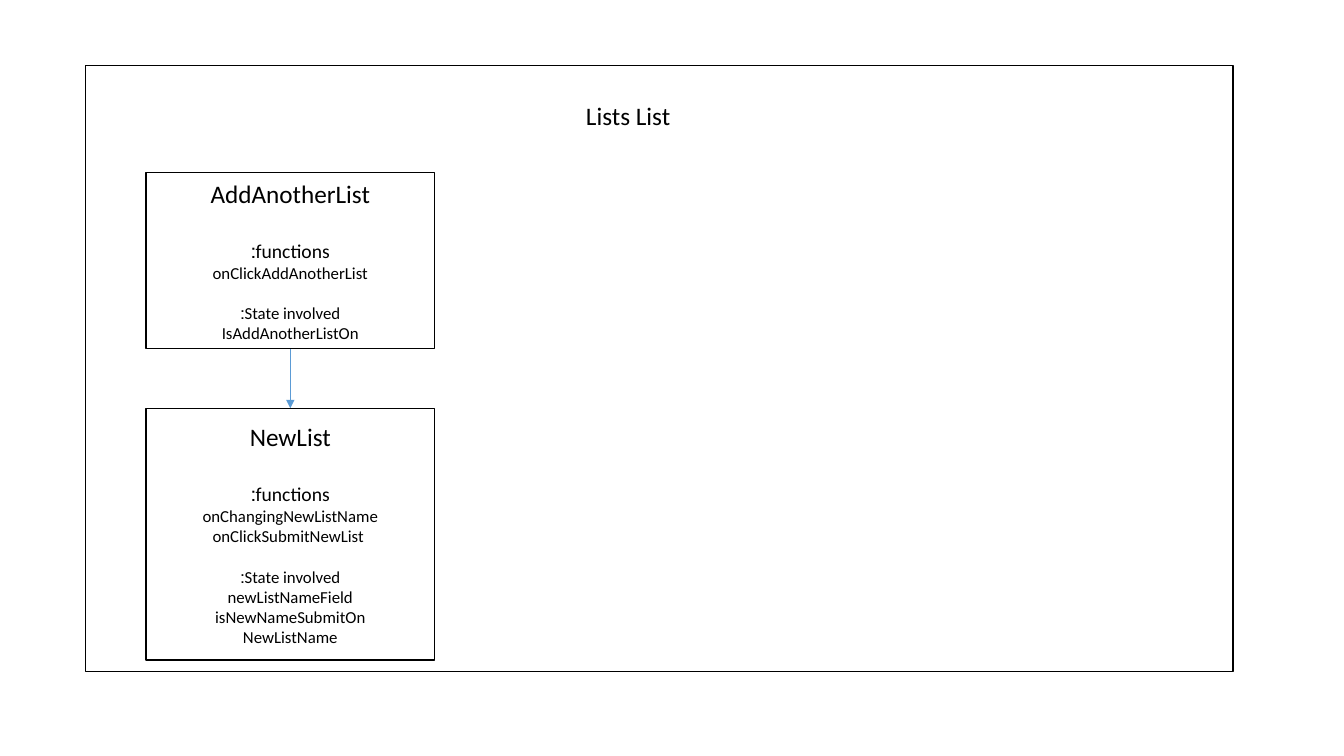
from pptx import Presentation
from pptx.dml.color import RGBColor
from pptx.enum.shapes import MSO_CONNECTOR, MSO_SHAPE
from pptx.enum.text import MSO_ANCHOR, PP_ALIGN
from pptx.oxml.ns import qn
from pptx.util import Inches, Pt
from lxml import etree

BLACK = RGBColor(0, 0, 0)
WHITE = RGBColor(255, 255, 255)
BLUE = RGBColor(0x5B, 0x9B, 0xD5)
FONT = "Calibri"
RECT = MSO_SHAPE.RECTANGLE
LINE = MSO_CONNECTOR.STRAIGHT
CENTER = PP_ALIGN.CENTER
MIDDLE = MSO_ANCHOR.MIDDLE


def add_box(slide, left, top, width, height):
    """Add a white rectangle with a black outline."""
    box = slide.shapes.add_shape(
        RECT, Inches(left), Inches(top), Inches(width), Inches(height))
    box.shadow.inherit = False
    box.fill.solid()
    box.fill.fore_color.rgb = WHITE
    box.line.color.rgb = BLACK
    box.line.width = Pt(1)
    return box


def set_line(para, text, size, gap=0):
    """Write one centred right-to-left paragraph with a gap above."""
    para.text = text
    para.alignment = CENTER
    para.space_before = Pt(gap)
    para._p.get_or_add_pPr().set("rtl", "1")
    font = para.runs[0].font
    font.name, font.size, font.color.rgb = FONT, Pt(size), BLACK


def add_frame(slide, left, top, width, height):
    """Draw the outer frame behind the slide title."""
    frame = add_box(slide, left, top, width, height)
    title = slide.shapes.title
    title.element.addprevious(frame.element)
    title.left, title.top = Inches(left + 3.63), Inches(top + 0.29)
    title.width, title.height = Inches(3.5), Inches(0.4)
    title.text_frame.vertical_anchor = MIDDLE
    set_line(title.text_frame.paragraphs[0], "Lists List", 18)


def add_card(slide, box, name, funcs, states):
    """Draw a component card with its functions and state."""
    card = add_box(slide, *box)
    frame = card.text_frame
    frame.word_wrap = True
    frame.vertical_anchor = MIDDLE
    rows = [(name, 18, 0), ("functions:", 14, 22)]
    rows += [(func, 12, 0) for func in funcs]
    rows += [("State involved:", 12, 14.6)]
    rows += [(state, 12, 0) for state in states]
    for i, row in enumerate(rows):
        para = frame.add_paragraph() if i else frame.paragraphs[0]
        set_line(para, *row)
    return card


def add_arrow(slide, source, target):
    """Link the bottom of one card to the top of the next."""
    arrow = slide.shapes.add_connector(LINE, 0, 0, 0, 0)
    arrow.begin_connect(source, 2)
    arrow.end_connect(target, 0)
    arrow.line.color.rgb = BLUE
    arrow.line.width = Pt(0.5)
    etree.SubElement(arrow.line._get_or_add_ln(), qn("a:tailEnd"), type="triangle")
    etree.SubElement(arrow._element.spPr, qn("a:effectLst"))


def build():
    """Build and save the slide."""
    deck = Presentation()
    deck.slide_width, deck.slide_height = Inches(13.33), Inches(7.5)
    slide = deck.slides.add_slide(deck.slide_layouts[5])
    add_frame(slide, 0.85, 0.65, 11.38, 6.01)
    first = add_card(slide, (1.45, 1.71, 2.86, 1.75), "AddAnotherList",
                     ["onClickAddAnotherList"], ["IsAddAnotherListOn"])
    second = add_card(slide, (1.45, 4.05, 2.86, 2.5), "NewList",
                      ["onChangingNewListName", " onClickSubmitNewList"],
                      ["newListNameField", "isNewNameSubmitOn", "NewListName"])
    add_arrow(slide, first, second)
    deck.save("out.pptx")


build()
